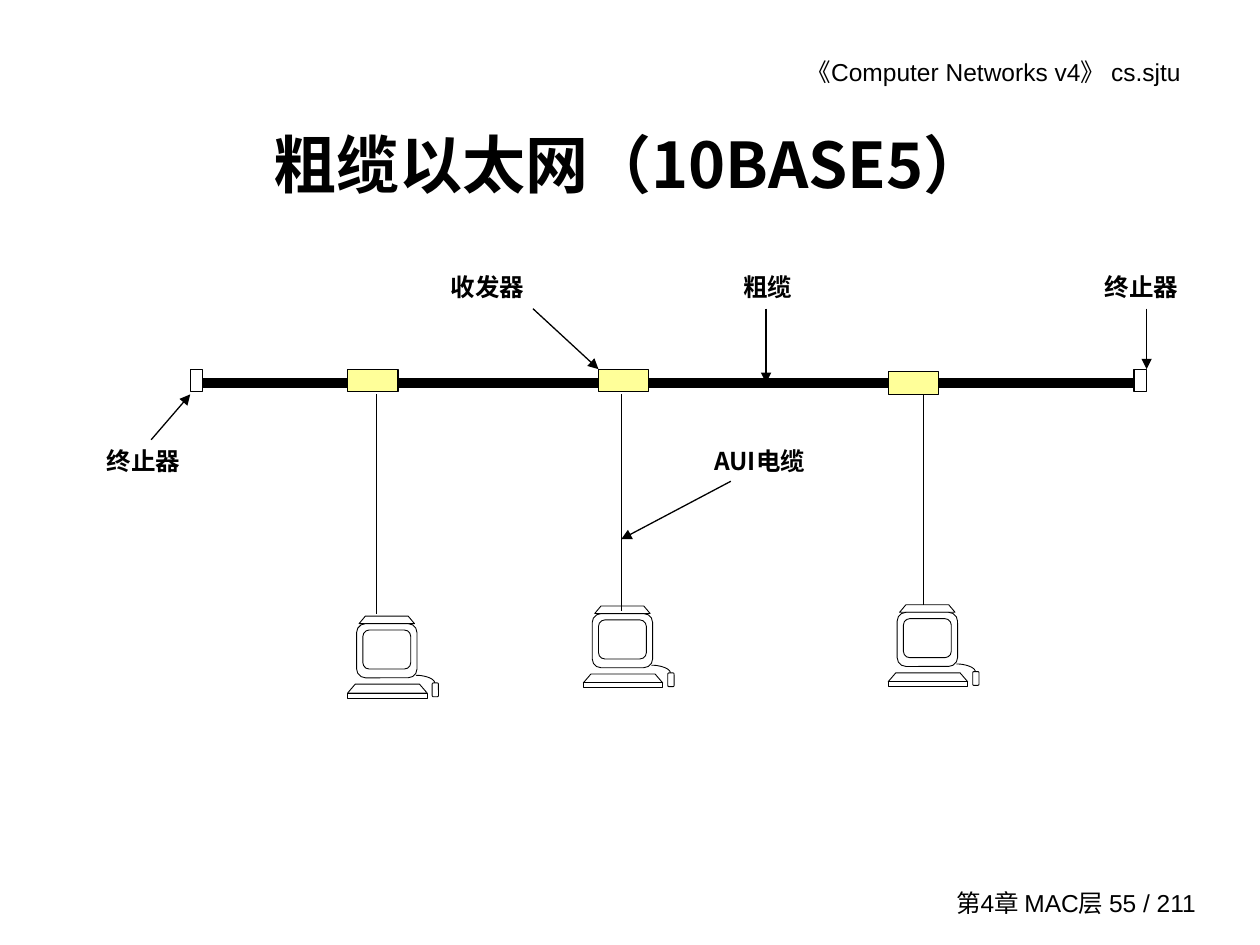
import pptx
import pptx.dml.color
import pptx.enum.shapes
import pptx.enum.text
import pptx.util
from lxml import etree
from pptx.oxml.ns import qn

Inches = pptx.util.Inches
Shape = pptx.enum.shapes.MSO_SHAPE
Align = pptx.enum.text.PP_ALIGN
Anchor = pptx.enum.text.MSO_ANCHOR

BLACK = pptx.dml.color.RGBColor(0, 0, 0)
WHITE = pptx.dml.color.RGBColor(255, 255, 255)
YELLOW = pptx.dml.color.RGBColor(255, 255, 153)
LATIN, CHINESE = "Arial", "Noto Sans CJK SC"

HEADER = "《Computer Networks v4》 cs.sjtu"
FOOTER = "第4章 MAC层 55 / 211"
TITLE = "粗缆以太网（10BASE5）"

BUS_Y, BUS_LEFT, BUS_RIGHT = 3.04, 1.61, 9.0
PART_TOP, PART_HEIGHT = 2.93, 0.18
UPPER_ROW, LOWER_ROW = 2.11, 3.49
LABEL_HEIGHT = 0.34

LABELS = [
    ("终止器", 0.75, LOWER_ROW, 0.86, LATIN),
    ("终止器", 8.67, UPPER_ROW, 0.86, LATIN),
    ("粗缆", 5.8, UPPER_ROW, 1.33, LATIN),
    ("收发器", 3.48, UPPER_ROW, 1.65, LATIN),
    ("AUI电缆", 5.57, LOWER_ROW, 1.58, CHINESE),
]
POINTERS = [
    ((1.2, 3.49), (1.51, 3.13)),
    ((9.1, 2.45), (9.1, PART_TOP)),
    ((6.08, 2.45), (6.08, BUS_Y)),
    ((4.23, 2.45), (4.75, PART_TOP)),
    ((5.8, 3.82), (4.93, 4.28)),
]
TERMINATORS = [1.51, 9.0]
TRANSCEIVERS = [(2.76, PART_TOP), (4.75, PART_TOP), (7.05, 2.95)]
DROP_CABLES = [(2.99, 4.87), (4.93, 4.85), (7.33, 4.8)]
COMPUTERS = [(2.76, 4.89), (7.05, 4.8), (4.63, 4.81)]

MOUSE_CORD = [(0.54, 0.47), (0.62, 0.47), (0.69, 0.5), (0.69, 0.53)]
BASE = [(0, 0.61), (0.06, 0.54), (0.57, 0.54), (0.63, 0.61)]
LID = [(0.09, 0.06), (0.14, 0), (0.48, 0), (0.53, 0.06)]
FRONT = (0, 0.61, 0.63, 0.04)
MOUSE = (0.67, 0.53, 0.05, 0.11)
MONITOR = (0.07, 0.06, 0.48, 0.43)
SCREEN = (0.12, 0.11, 0.38, 0.31)


def add_text(slide, text, left, top, width, height, size=14, font=LATIN, bold=False,
             align=Align.LEFT, anchor=Anchor.TOP, right_inset=0.1):
    box = slide.shapes.add_textbox(*map(Inches, (left, top, width, height)))
    frame = box.text_frame
    frame.word_wrap = True
    frame.vertical_anchor = anchor
    frame.margin_right = Inches(right_inset)
    para = frame.paragraphs[0]
    para.alignment = align
    span = para.add_run()
    span.text = text
    span.font.size = pptx.util.Pt(size)
    span.font.name = font
    span.font.bold = bold
    span.font.color.rgb = BLACK
    etree.SubElement(span.font._element, qn("a:ea"), typeface=CHINESE)


def add_line(slide, start, end, weight=0.75, arrow=False):
    line = slide.shapes.add_connector(
        pptx.enum.shapes.MSO_CONNECTOR.STRAIGHT, *map(Inches, start + end))
    line.line.color.rgb = BLACK
    line.line.width = pptx.util.Pt(weight)
    if arrow:
        etree.SubElement(line.line._get_or_add_ln(), qn("a:tailEnd"), type="triangle")
    etree.SubElement(line._element.spPr, qn("a:effectLst"))


def style(shape, fill, weight):
    shape.shadow.inherit = False
    if fill is None:
        shape.fill.background()
    else:
        shape.fill.solid()
        shape.fill.fore_color.rgb = fill
    shape.line.color.rgb = BLACK
    shape.line.width = pptx.util.Pt(weight)


def add_block(shapes, bounds, fill=WHITE, weight=0.75, corner=None):
    kind = Shape.RECTANGLE if corner is None else Shape.ROUNDED_RECTANGLE
    block = shapes.add_shape(kind, *map(Inches, bounds))
    if corner is not None:
        block.adjustments[0] = corner
    style(block, fill, weight)


def add_outline(shapes, points, origin, close=True):
    placed = [(Inches(origin[0] + x), Inches(origin[1] + y)) for x, y in points]
    builder = shapes.build_freeform(*placed[0])
    builder.add_line_segments(placed[1:], close=close)
    style(builder.convert_to_shape(), WHITE if close else None, 0.5)


def curve_points(controls, steps=12):
    points = []
    for step in range(steps + 1):
        t = step / steps
        weights = ((1 - t) ** 3, 3 * t * (1 - t) ** 2, 3 * t * t * (1 - t), t ** 3)
        points.append(tuple(sum(w * c[axis] for w, c in zip(weights, controls))
                            for axis in (0, 1)))
    return points


def add_computer(slide, origin):
    parts = slide.shapes.add_group_shape().shapes
    add_outline(parts, curve_points(MOUSE_CORD), origin, close=False)
    add_outline(parts, BASE, origin)
    add_outline(parts, LID, origin)
    for (x, y, width, height), corner in [
            (FRONT, None), (MOUSE, 0.2), (MONITOR, 0.165), (SCREEN, 0.165)]:
        bounds = (origin[0] + x, origin[1] + y, width, height)
        add_block(parts, bounds, weight=0.5, corner=corner)


def main():
    deck = pptx.Presentation()
    deck.slide_width, deck.slide_height = Inches(10), Inches(7.5)
    page = deck.slides.add_slide(deck.slide_layouts[6])

    add_text(page, HEADER, 4.76, 0.4, 4.82, LABEL_HEIGHT, align=Align.RIGHT,
             right_inset=0.21)
    add_text(page, FOOTER, 7.3, 7, 2.29, 0.33, align=Align.RIGHT, anchor=Anchor.MIDDLE)
    add_text(page, TITLE, 0.75, 0.67, 8.5, 1.25, size=36, font=CHINESE, bold=True,
             align=Align.CENTER, anchor=Anchor.MIDDLE)

    add_line(page, (BUS_LEFT, BUS_Y), (BUS_RIGHT, BUS_Y), weight=6)
    for left in TERMINATORS:
        add_block(page.shapes, (left, PART_TOP, 0.1, PART_HEIGHT))
    for left, top in TRANSCEIVERS:
        add_block(page.shapes, (left, top, 0.4, PART_HEIGHT), fill=YELLOW)
    for origin in COMPUTERS:
        add_computer(page, origin)
    for x, bottom in DROP_CABLES:
        add_line(page, (x, 3.13), (x, bottom))
    for text, left, top, width, font in LABELS:
        add_text(page, text, left, top, width, LABEL_HEIGHT, font=font, bold=True)
    for start, end in POINTERS:
        add_line(page, start, end, arrow=True)

    deck.save("out.pptx")


if __name__ == "__main__":
    main()
